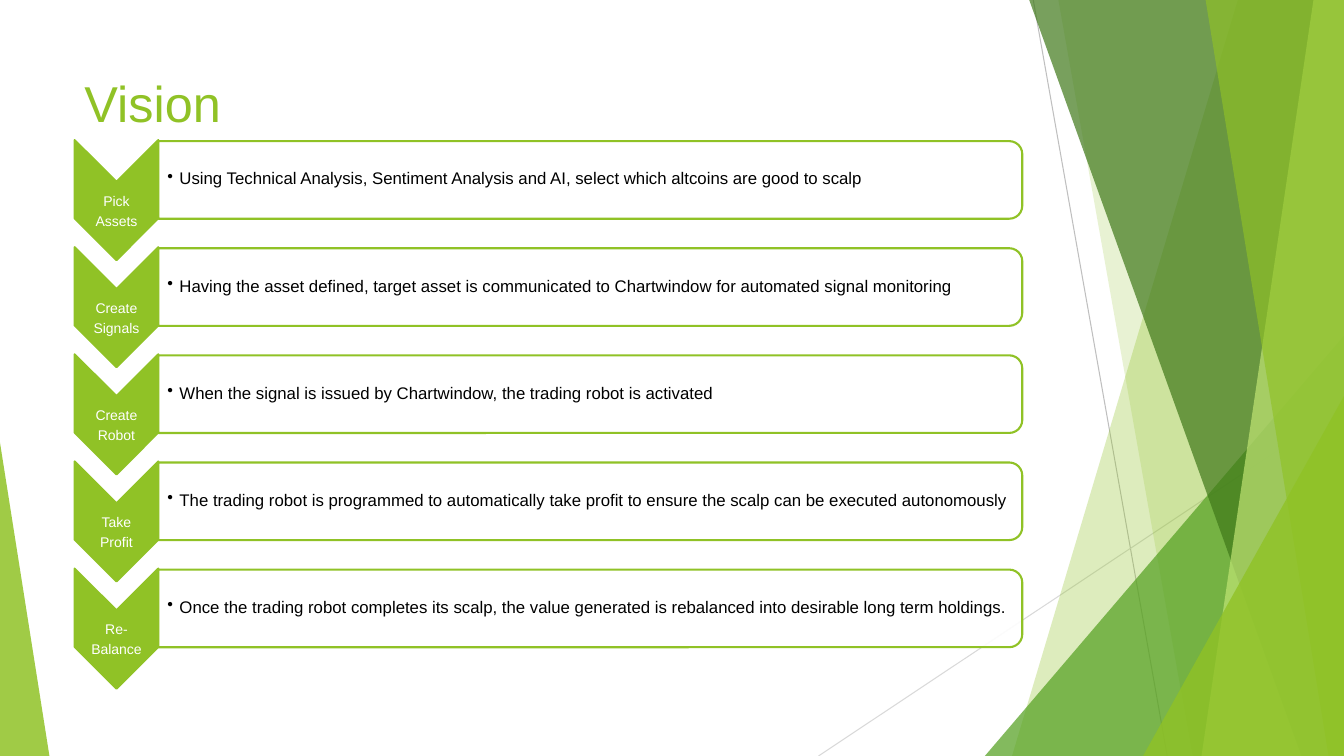
"""Build the Vision slide: five chevron steps with panels on a faceted green backdrop."""
from dataclasses import dataclass
from typing import Any

from lxml import etree
from pptx import Presentation
from pptx import util as u
from pptx.dml.color import RGBColor
from pptx.enum import shapes, text
from pptx.oxml.ns import qn

LIME = RGBColor(0x90, 0xC2, 0x26)
LEAF = RGBColor(0x54, 0xA0, 0x21)
FOREST = RGBColor(0x3F, 0x78, 0x19)
PALE_LIME = RGBColor(0xC0, 0xE4, 0x74)
GREY = RGBColor(0xBF, 0xBF, 0xBF)
LIGHT_GREY = RGBColor(0xD9, 0xD9, 0xD9)
WHITE = RGBColor(0xFF, 0xFF, 0xFF)
BLACK = RGBColor(0x00, 0x00, 0x00)
WIDTH, HEIGHT = u.Inches(13.33), u.Inches(7.5)
STEP_PITCH = 14.17


@dataclass(frozen=True)
class Box:
    """Area in percent of the slide's width and height."""
    left: float
    top: float
    width: float
    height: float

    def lowered(self, rows: int) -> "Box":
        """Return the same area moved down by whole steps."""
        return Box(self.left, self.top + rows * STEP_PITCH, self.width, self.height)

    def emu(self) -> tuple[int, int, int, int]:
        """Return left, top, width and height in slide units."""
        return across(self.left), down(self.top), across(self.width), down(self.height)


@dataclass(frozen=True)
class Ray:
    """Thin backdrop line between two points."""
    start: tuple[float, float]
    end: tuple[float, float]
    color: RGBColor


@dataclass(frozen=True)
class Facet:
    """Band from the top edge to the bottom edge, along the right side."""
    top_left: float
    bottom_left: float
    color: RGBColor
    opacity: int


@dataclass(frozen=True)
class Peak:
    """Triangle whose tip lies at a share of its width."""
    box: Box
    tip: float
    color: RGBColor
    opacity: int


@dataclass(frozen=True)
class Step:
    """One stage of the plan."""
    label: tuple[str, str]
    detail: str


RAYS = (
    Ray((76.88, 0), (86.85, 100), GREY),
    Ray((100, 53.73), (60.9, 100), LIGHT_GREY),
)
BACKDROP = (
    Facet(92.1, 75.3, LIME, 30),
    Facet(78.75, 88.73, LIME, 20),
    Peak(Box(73.28, 44.4, 26.72, 55.6), 1, LEAF, 72),
    Facet(76.58, 96.83, FOREST, 70),
    Facet(97.73, 89.4, PALE_LIME, 70),
    Facet(89.7, 98.85, LIME, 65),
    Peak(Box(85.05, 52.4, 14.95, 47.6), 1, LIME, 80),
    Peak(Box(0, 58.53, 3.68, 41.47), 0, LIME, 85),
)
STEPS = (
    Step(("Pick", "Assets"), "Using Technical Analysis, Sentiment Analysis and AI, "
         "select which altcoins are good to scalp"),
    Step(("Create", "Signals"), "Having the asset defined, target asset is communicated "
         "to Chartwindow for automated signal monitoring"),
    Step(("Create", "Robot"), "When the signal is issued by Chartwindow, "
         "the trading robot is activated"),
    Step(("Take", "Profit"), "The trading robot is programmed to automatically take profit "
         "to ensure the scalp can be executed autonomously"),
    Step(("Re-", "Balance"), "Once the trading robot completes its scalp, "
         "the value generated is rebalanced into desirable long term holdings."),
)
TITLE_BOX = Box(5.55, 8.93, 70.5, 19.2)
CHEVRON_BOX = Box(5.55, 18.53, 6.23, 15.87)
LABEL_BOX = Box(5.55, 25.6, 6.23, 4.8)
PANEL_BOX = Box(11.78, 18.67, 64.28, 10.27)
DETAIL_BOX = Box(11.78, 19.07, 63.98, 9.33)

TIGHT = {"margin_left": u.Inches(0.01), "margin_right": u.Inches(0.01),
         "margin_top": u.Inches(0.01), "margin_bottom": u.Inches(0.01),
         "vertical_anchor": text.MSO_ANCHOR.MIDDLE}
DETAIL_FRAME = TIGHT | {"margin_left": u.Inches(0.09)}
LABEL_LINES = {"alignment": text.PP_ALIGN.CENTER, "line_spacing": 0.9,
               "space_after": u.Pt(3.5)}
DETAIL_LINES = {"line_spacing": 0.9, "space_after": u.Pt(1.8)}


def across(share: float) -> int:
    """Turn a percentage of the width into slide units."""
    return round(WIDTH * share / 100)


def down(share: float) -> int:
    """Turn a percentage of the height into slide units."""
    return round(HEIGHT * share / 100)


def apply(target: Any, values: dict[str, Any]) -> None:
    """Set every attribute named in a format."""
    for name, value in values.items():
        setattr(target, name, value)


def paint(shape: Any, color: RGBColor, opacity: int = 100, edge: RGBColor | None = None) -> None:
    """Fill a shape, set its opacity and draw or drop its edge."""
    shape.shadow.inherit = False
    shape.fill.solid()
    shape.fill.fore_color.rgb = color
    if opacity < 100:
        tint = shape.fill._xPr.find(".//" + qn("a:srgbClr"))
        etree.SubElement(tint, qn("a:alpha"), val=str(opacity * 1000))
    if edge is None:
        shape.line.fill.background()
    else:
        shape.line.color.rgb = edge
        shape.line.width = u.Pt(1.5)


def add_ray(slide: Any, ray: Ray) -> None:
    """Draw a backdrop line."""
    (x1, y1), (x2, y2) = ray.start, ray.end
    line = slide.shapes.add_connector(shapes.MSO_CONNECTOR.STRAIGHT,
                                      across(x1), down(y1), across(x2), down(y2))
    apply(line.line, {"width": u.Pt(0.75)})
    line.line.color.rgb = ray.color
    etree.SubElement(line._element.spPr, qn("a:effectLst"))


def add_backdrop_part(slide: Any, part: Facet | Peak) -> None:
    """Draw a band or a triangle of the backdrop."""
    if isinstance(part, Facet):
        outline = slide.shapes.build_freeform(across(part.top_left), 0)
        outline.add_line_segments([(WIDTH, 0), (WIDTH, HEIGHT),
                                   (across(part.bottom_left), HEIGHT)])
        shape = outline.convert_to_shape()
    else:
        shape = slide.shapes.add_shape(shapes.MSO_SHAPE.ISOSCELES_TRIANGLE, *part.box.emu())
        shape.adjustments[0] = part.tip
    paint(shape, part.color, part.opacity)


def add_turned(slide: Any, kind: shapes.MSO_SHAPE, box: Box) -> Any:
    """Add a shape turned a quarter clockwise that covers the box."""
    left, top, width, height = box.emu()
    shift = (width - height) // 2
    shape = slide.shapes.add_shape(kind, left + shift, top - shift, height, width)
    shape.rotation = 90
    return shape


def add_text(slide: Any, box: Box, lines: tuple[str, ...], size: int, color: RGBColor,
             frame_format: dict[str, Any], line_format: dict[str, Any]) -> Any:
    """Write lines in a box and return its text frame."""
    frame = slide.shapes.add_textbox(*box.emu()).text_frame
    apply(frame, {"word_wrap": True, "text": "\n".join(lines)} | frame_format)
    for paragraph in frame.paragraphs:
        apply(paragraph, line_format)
        apply(paragraph.runs[0].font, {"name": "Arial", "size": u.Pt(size)})
        paragraph.runs[0].font.color.rgb = color
    return frame


def add_step(slide: Any, row: int, step: Step) -> None:
    """Draw one chevron with its label, panel and bulleted detail."""
    chevron = add_turned(slide, shapes.MSO_SHAPE.CHEVRON, CHEVRON_BOX.lowered(row))
    paint(chevron, LIME, edge=LIME)
    add_text(slide, LABEL_BOX.lowered(row), step.label, 10, WHITE, TIGHT, LABEL_LINES)
    panel = add_turned(slide, shapes.MSO_SHAPE.ROUND_2_SAME_RECTANGLE, PANEL_BOX.lowered(row))
    paint(panel, WHITE, 90, LIME)
    detail = add_text(slide, DETAIL_BOX.lowered(row), (step.detail,), 12, BLACK,
                      DETAIL_FRAME, DETAIL_LINES)
    properties = detail.paragraphs[0]._p.get_or_add_pPr()
    properties.set("marL", str(u.Inches(0.12)))
    properties.set("indent", str(-u.Inches(0.12)))
    etree.SubElement(properties, qn("a:buChar"), char="•")


def main() -> None:
    """Build and save the slide."""
    deck = Presentation()
    apply(deck, {"slide_width": WIDTH, "slide_height": HEIGHT})
    slide = deck.slides.add_slide(deck.slide_layouts[6])
    for ray in RAYS:
        add_ray(slide, ray)
    for part in BACKDROP:
        add_backdrop_part(slide, part)
    add_text(slide, TITLE_BOX, ("Vision",), 36, LIME, {}, {})
    for row, step in enumerate(STEPS):
        add_step(slide, row, step)
    deck.save("out.pptx")


if __name__ == "__main__":
    main()
